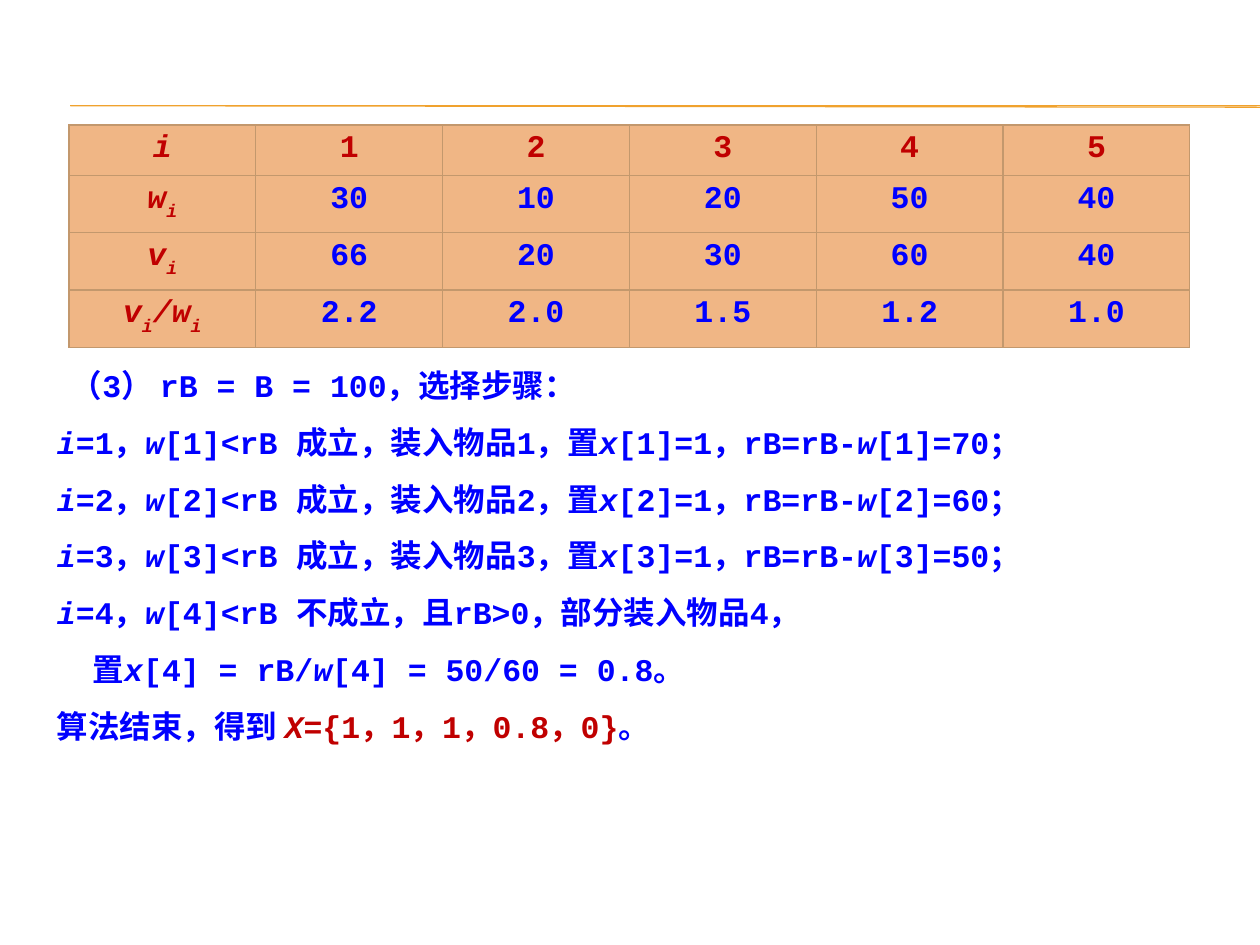
from dataclasses import dataclass

import pptx
import pptx.dml.color
import pptx.enum.shapes
import pptx.enum.text
import pptx.oxml
import pptx.oxml.ns
import pptx.util
from pptx.util import Cm

BLUE = pptx.dml.color.RGBColor(0x00, 0x00, 0xFF)
RED = pptx.dml.color.RGBColor(0xC0, 0x00, 0x00)
GOLD = pptx.dml.color.RGBColor(0xF0, 0xA2, 0x2E)
PEACH = pptx.dml.color.RGBColor(0xF0, 0xB6, 0x85)
EDGE = pptx.dml.color.RGBColor(0xC3, 0x98, 0x6D)
FONT = "Courier New"


@dataclass
class Bit:
    """A run of text in one style."""
    text: str
    slant: bool = False
    sub: bool = False
    color: pptx.dml.color.RGBColor = BLUE


@dataclass
class Line:
    bits: list[Bit]
    indent: float = 0


def var(text: str, color=BLUE, sub: bool = False) -> Bit:
    """An italic variable name."""
    return Bit(text, True, sub, color)


def ratio(*names: str) -> list[Bit]:
    """Red variables, each with the subscript i."""
    return [bit for name in names for bit in (var(name, RED), var("i", RED, True))]


def write(para, bits: list[Bit]) -> None:
    for bit in bits:
        run = para.add_run()
        run.text = bit.text
        font = run.font
        font.name, font.size, font.bold = FONT, pptx.util.Pt(18), True
        font.italic = bit.slant
        font.color.rgb = bit.color
        if bit.sub:
            font._element.set("baseline", "-30000")


def rule(slide, end: float) -> None:
    """Draw a gold line whose right end lies at the given height."""
    line = slide.shapes.add_connector(
        pptx.enum.shapes.MSO_CONNECTOR.STRAIGHT, Cm(1.42), Cm(2.13), Cm(25.4), Cm(end))
    line.line.color.rgb = GOLD
    line.line.width = pptx.util.Pt(0.75)
    line._element.spPr.append(pptx.oxml.parse_xml(
        f"<a:effectLst {pptx.oxml.ns.nsdecls('a')}/>"))


def frame(cell) -> None:
    """Give a cell its border and fill."""
    props = cell._tc.get_or_add_tcPr()
    for side in "LRTB":
        props.append(pptx.oxml.parse_xml(
            f'<a:ln{side} {pptx.oxml.ns.nsdecls("a")} w="10033"><a:solidFill>'
            f'<a:srgbClr val="{EDGE}"/></a:solidFill></a:ln{side}>'))
    cell.fill.solid()
    cell.fill.fore_color.rgb = PEACH


def grid(slide, rows: list[tuple[list[Bit], str]]) -> None:
    """Draw the item table; the first row is a red head."""
    table = slide.shapes.add_table(
        len(rows), 6, Cm(1.39), Cm(2.52), Cm(22.6), Cm(4.47)).table
    for r, (head, data) in enumerate(rows):
        table.rows[r].height = Cm(1.15 if r else 1.02)
        color = BLUE if r else RED
        cells = [head] + [[Bit(text, color=color)] for text in data.split()]
        for c, bits in enumerate(cells):
            cell = table.cell(r, c)
            frame(cell)
            para = cell.text_frame.paragraphs[0]
            para.alignment = pptx.enum.text.PP_ALIGN.CENTER
            write(para, bits)


def prose(slide, lines: list[Line]) -> None:
    box = slide.shapes.add_textbox(Cm(0.9), Cm(6.88), Cm(24.5), Cm(8.33))
    frame = box.text_frame
    frame.word_wrap = True
    for n, line in enumerate(lines):
        para = frame.add_paragraph() if n else frame.paragraphs[0]
        para.line_spacing = 1.5
        if line.indent:
            para._p.get_or_add_pPr().set("indent", str(Cm(line.indent)))
        write(para, line.bits)


def step(n: int, left: int) -> Line:
    """Item n fits whole and leaves the given room."""
    return Line([var("i"), Bit(f"={n}，"), var("w"),
                 Bit(f"[{n}]<rB 成立，装入物品{n}，置"), var("x"),
                 Bit(f"[{n}]=1，rB=rB-"), var("w"), Bit(f"[{n}]={left}；")])


def main() -> None:
    deck = pptx.Presentation()
    deck.slide_width, deck.slide_height = Cm(25.4), Cm(19.05)
    slide = deck.slides.add_slide(deck.slide_layouts[6])
    for end in (2.13, 2.16):
        rule(slide, end)
    prose(slide, [
        Line([Bit("（3） rB = B = 100，选择步骤：")], 0.28),
        *(step(n, left) for n, left in enumerate((70, 60, 50), 1)),
        Line([var("i"), Bit("=4，"), var("w"),
              Bit("[4]<rB 不成立，且rB>0，部分装入物品4，")]),
        Line([Bit("置"), var("x"), Bit("[4] = rB/"), var("w"),
              Bit("[4] = 50/60 = 0.8。")], 0.72),
        Line([Bit("算法结束，得到 "), var("X", RED),
              Bit("={1，1，1，0.8，0}", color=RED), Bit("。")]),
    ])
    grid(slide, [
        ([var("i", RED)], "1 2 3 4 5"),
        (ratio("w"), "30 10 20 50 40"),
        (ratio("v"), "66 20 30 60 40"),
        (ratio("v", "/w"), "2.2 2.0 1.5 1.2 1.0"),
    ])
    deck.save("out.pptx")


if __name__ == "__main__":
    main()
